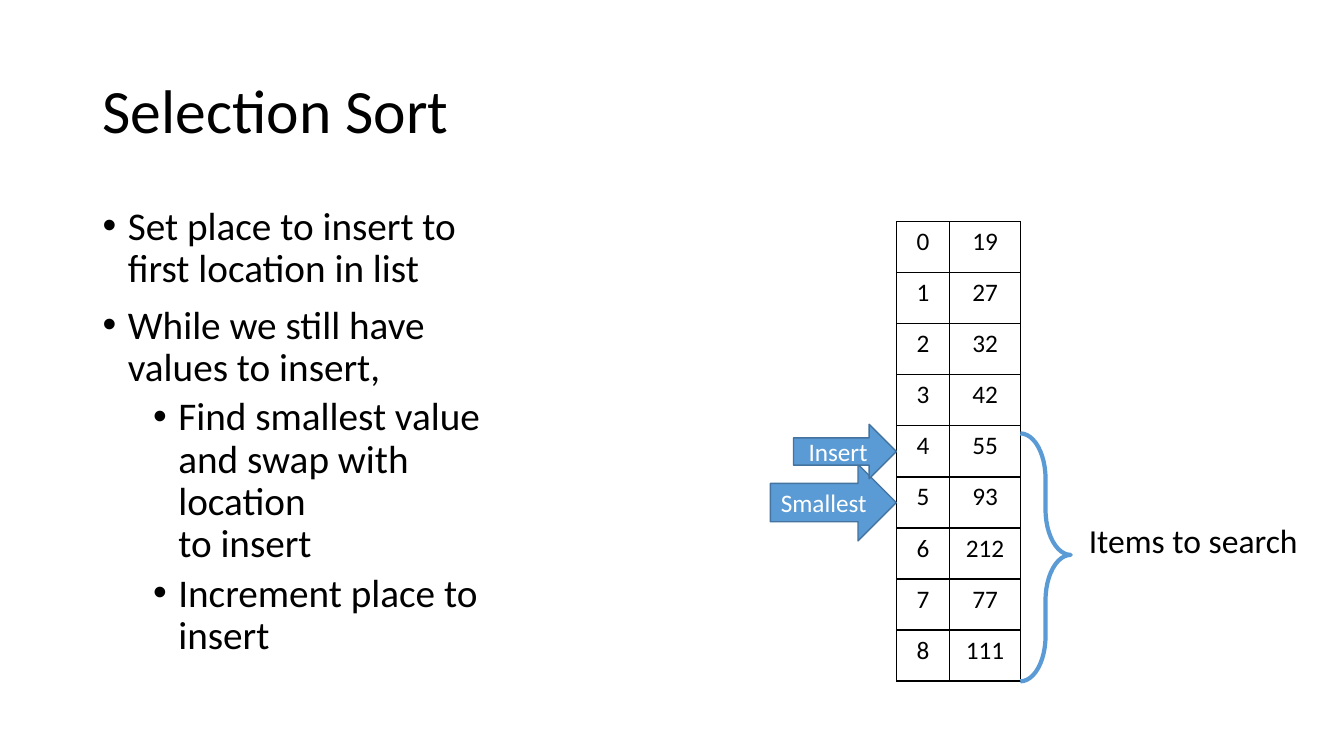
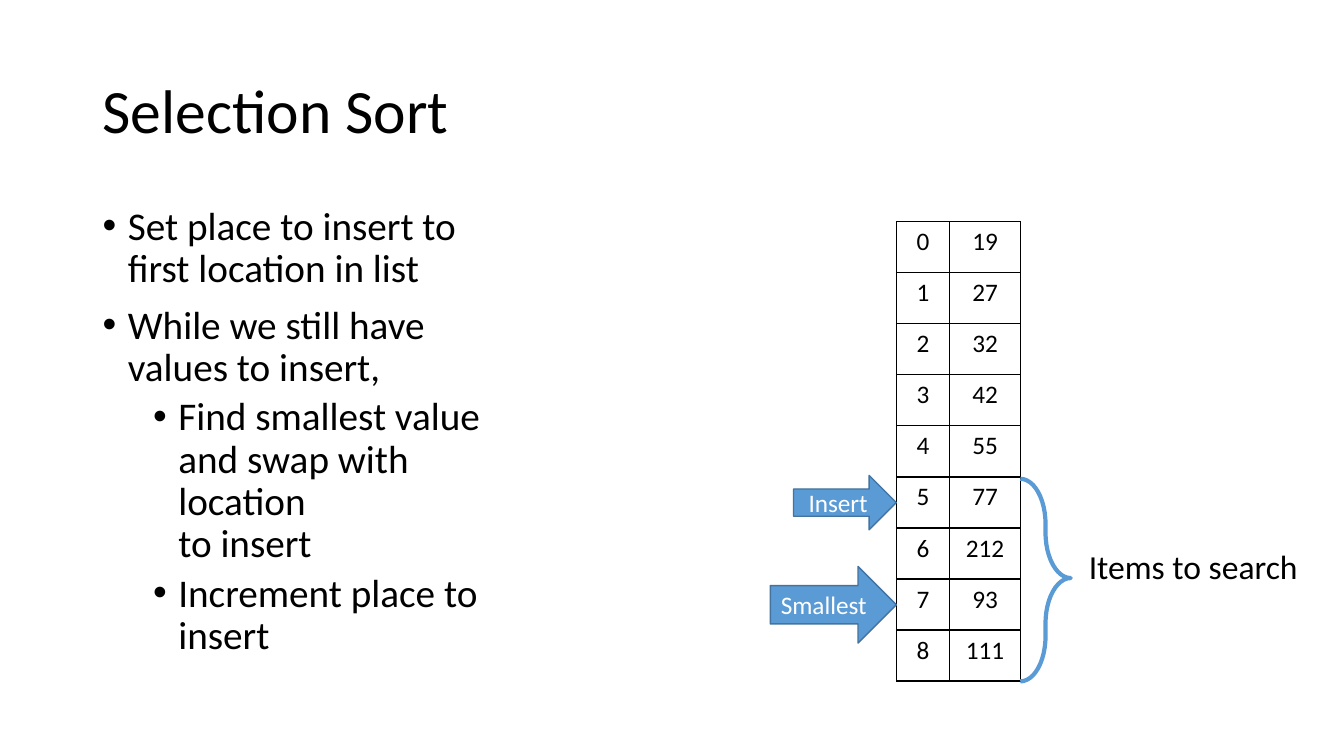
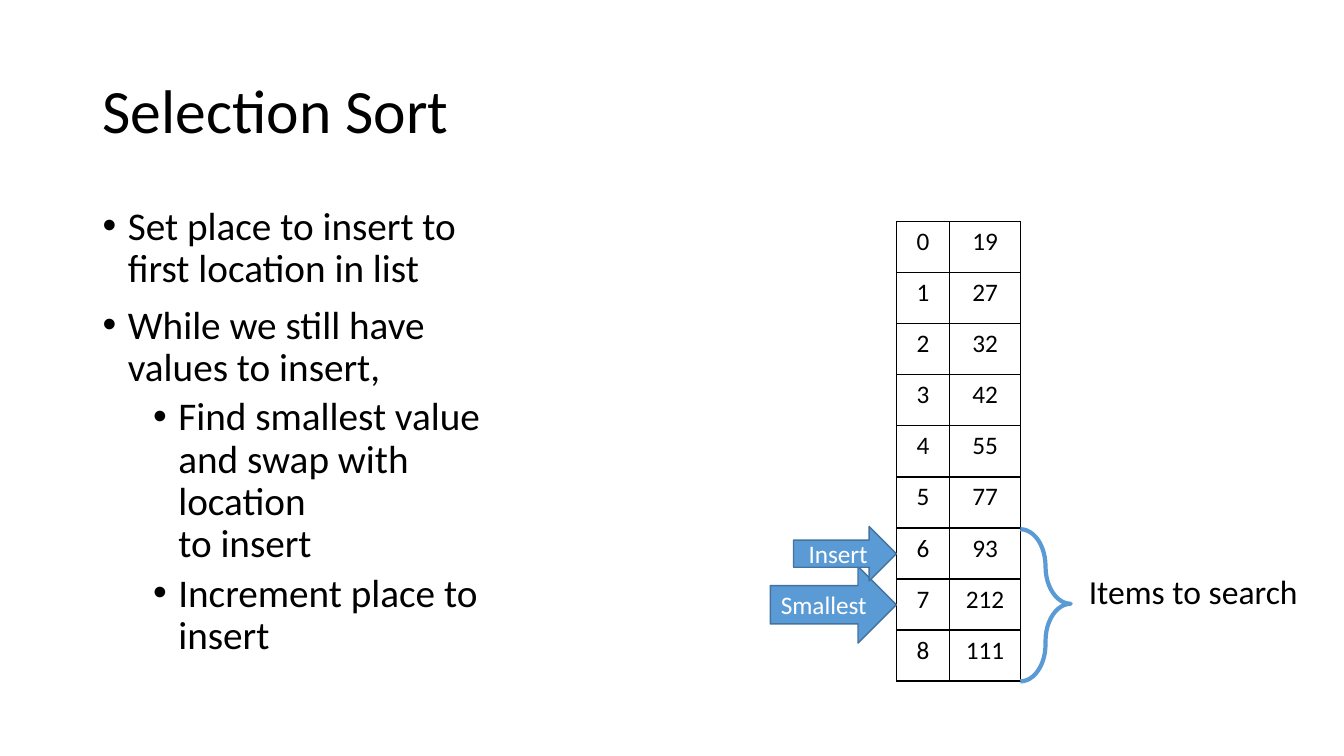
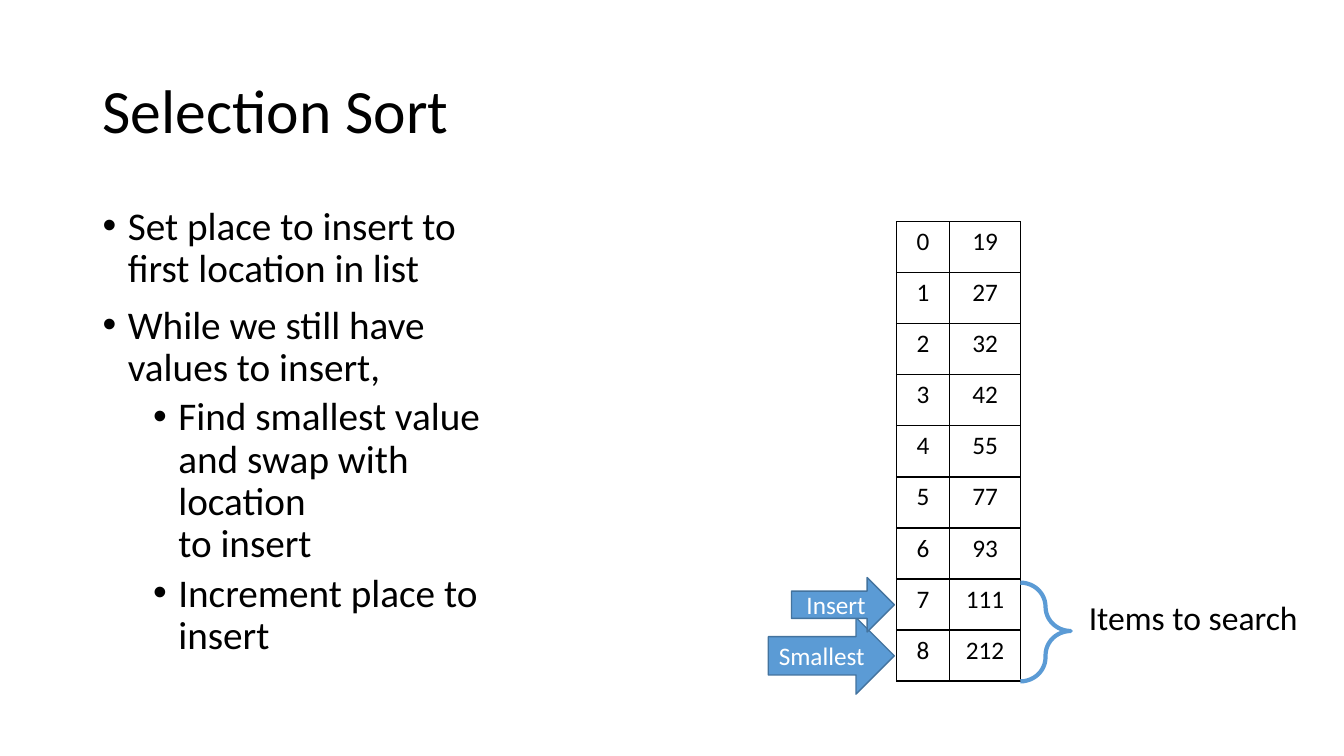
from lxml.etree import SubElement
from pptx import Presentation
from pptx.dml.color import RGBColor
from pptx.enum.shapes import MSO_SHAPE
from pptx.enum.text import MSO_ANCHOR, PP_ALIGN
from pptx.oxml.ns import qn
from pptx.util import Inches, Pt

BLACK, WHITE, BLUE, DARK_BLUE = "000000", "FFFFFF", "5B9BD5", "43739E"
ROW_HEIGHT = 4.56 / 9
TABLE_LEFT, TABLE_TOP, TABLE_BOTTOM = 8.89, 2.2, 6.76

BULLETS = [
    (0, "Set place to insert to\vfirst location in list"),
    (0, "While we still have\vvalues to insert,"),
    (1, "Find smallest value\vand swap with location\vto insert"),
    (1, "Increment place to insert"),
]
LEVELS = [
    {"margin": 0.25, "space_before": Pt(10)},
    {"margin": 0.75, "space_before": Pt(5)},
]
ARROWS = [("smallest", "Smallest", 1.25, 0.76), ("insert", "Insert", 1.02, 0.54)]
STEPS = [
    {"values": [19, 27, 32, 42, 55, 93, 212, 77, 111],
     "insert": 4, "smallest": 5, "brace_top": 4.3, "tip": 8.89},
    {"values": [19, 27, 32, 42, 55, 77, 212, 93, 111],
     "insert": 5, "smallest": 7, "brace_top": 4.75, "tip": 8.89},
    {"values": [19, 27, 32, 42, 55, 77, 93, 212, 111],
     "insert": 6, "smallest": 7, "brace_top": 5.25, "tip": 8.89},
    {"values": [19, 27, 32, 42, 55, 77, 93, 111, 212],
     "insert": 7, "smallest": 8, "brace_top": 5.78, "tip": 8.87},
]


def color(value):
    return RGBColor.from_string(value)


def write(paragraph, text, size, font_color=BLACK, **paragraph_format):
    paragraph.text = text
    for name, value in paragraph_format.items():
        setattr(paragraph, name, value)
    for name, value in {"name": "Calibri", "size": Pt(size)}.items():
        setattr(paragraph.font, name, value)
    for run in paragraph.runs:
        for name, value in {"name": "Calibri", "size": Pt(size)}.items():
            setattr(run.font, name, value)
        run.font.color.rgb = color(font_color)


presentation = Presentation()
presentation.slide_width = Inches(13.33)
presentation.slide_height = Inches(7.5)

for step in STEPS:
    slide = presentation.slides.add_slide(presentation.slide_layouts[6])
    shapes = slide.shapes

    title = shapes.add_textbox(Inches(0.92), Inches(0.4), Inches(11.5), Inches(1.45))
    title.text_frame.word_wrap = True
    title.text_frame.vertical_anchor = MSO_ANCHOR.MIDDLE
    write(title.text_frame.paragraphs[0], "Selection Sort", 44, line_spacing=0.9)

    body = shapes.add_textbox(Inches(0.92), Inches(2), Inches(4.48), Inches(4.76))
    body.text_frame.word_wrap = True
    for index, (level, text) in enumerate(BULLETS):
        frame = body.text_frame
        paragraph = frame.add_paragraph() if index else frame.paragraphs[0]
        properties = paragraph._p.get_or_add_pPr()
        properties.set("marL", str(Inches(LEVELS[level]["margin"])))
        properties.set("indent", str(Inches(-0.25)))
        SubElement(properties, qn("a:buFont"), typeface="Arial")
        SubElement(properties, qn("a:buChar"), char="•")
        space_before = LEVELS[level]["space_before"] if index else Pt(0)
        write(paragraph, text, 28, level=level, line_spacing=0.9,
              space_before=space_before)

    table = shapes.add_table(9, 2, Inches(TABLE_LEFT), Inches(TABLE_TOP),
                             Inches(1.23), Inches(4.56)).table
    table.first_row = table.horz_banding = False
    for column, width in zip(table.columns, (0.53, 0.7)):
        column.width = Inches(width)
    for row, value in enumerate(step["values"]):
        for column, number in enumerate((row, value)):
            cell = table.cell(row, column)
            write(cell.text_frame.paragraphs[0], str(number), 18,
                  alignment=PP_ALIGN.CENTER)
            properties = cell._tc.get_or_add_tcPr()
            for side in ("lnL", "lnR", "lnT", "lnB"):
                border = SubElement(properties, qn(f"a:{side}"), w=str(Pt(1)))
                border_fill = SubElement(border, qn("a:solidFill"))
                SubElement(border_fill, qn("a:srgbClr"), val=BLACK)
            cell.fill.background()

    brace = shapes.add_shape(MSO_SHAPE.RIGHT_BRACE, Inches(10.12),
                             Inches(step["brace_top"]), Inches(0.5),
                             Inches(TABLE_BOTTOM - step["brace_top"]))
    brace.shadow.inherit = False
    brace.adjustments[0] = 0.9
    brace.adjustments[1] = 0.49
    brace.fill.background()
    brace.line.color.rgb = color(BLUE)
    brace.line.width = Pt(3)

    label_top = 5.11 + (step["insert"] - 4) * ROW_HEIGHT / 2
    label = shapes.add_textbox(Inches(10.7), Inches(label_top), Inches(2.29), Inches(0.5))
    label.text_frame.word_wrap = False
    write(label.text_frame.paragraphs[0], "Items to search", 24)

    for key, text, width, height in ARROWS:
        middle = TABLE_TOP + (step[key] + 0.5) * ROW_HEIGHT
        arrow = shapes.add_shape(MSO_SHAPE.RIGHT_ARROW, Inches(step["tip"] - width),
                                 Inches(middle - height / 2), Inches(width), Inches(height))
        arrow.shadow.inherit = False
        arrow.fill.solid()
        arrow.fill.fore_color.rgb = color(BLUE)
        arrow.line.color.rgb = color(DARK_BLUE)
        arrow.line.width = Pt(1)
        arrow.text_frame.vertical_anchor = MSO_ANCHOR.MIDDLE
        write(arrow.text_frame.paragraphs[0], text, 18, WHITE, alignment=PP_ALIGN.CENTER)

presentation.save("out.pptx")
